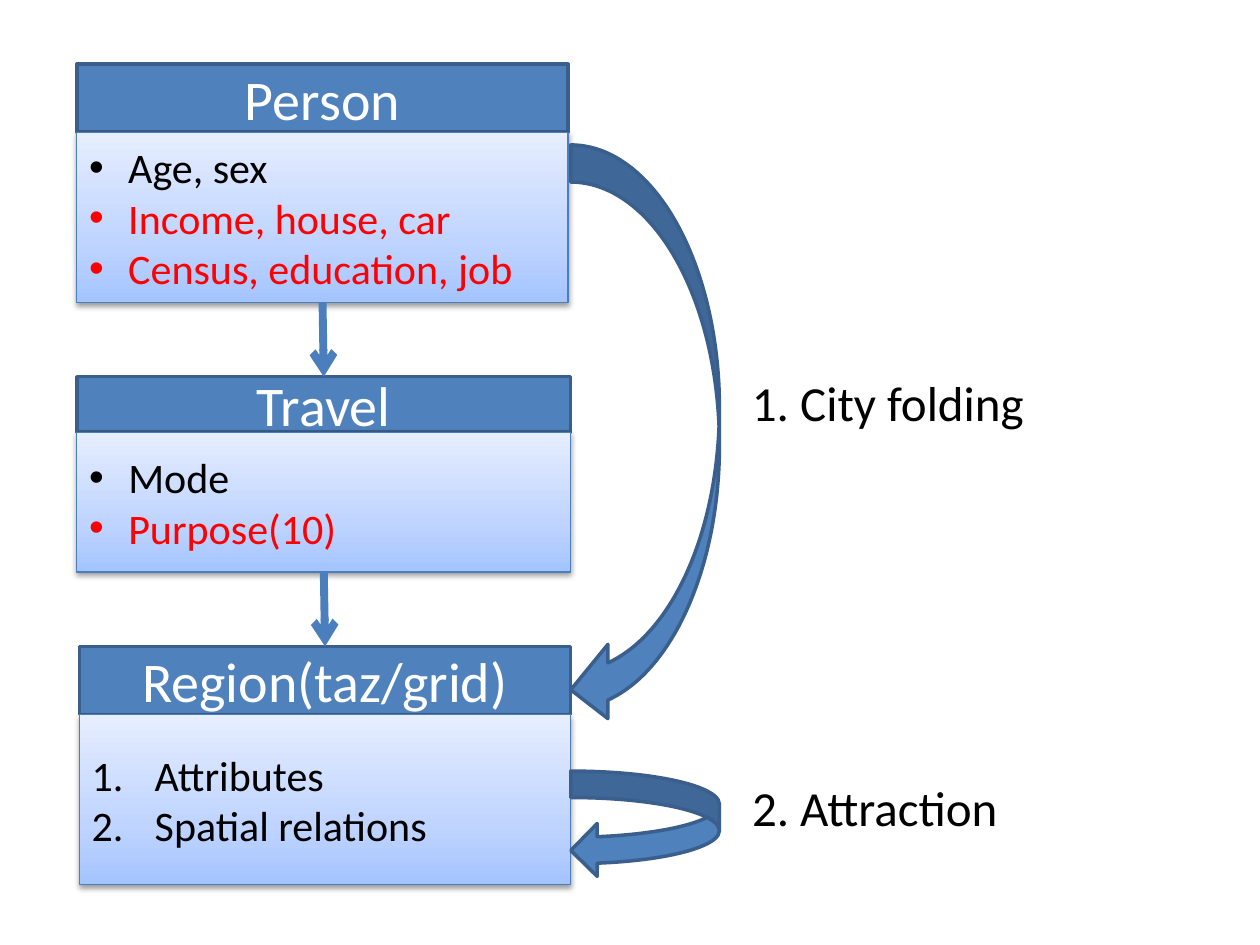
from lxml import etree
from pptx import Presentation
from pptx.dml.color import RGBColor
from pptx.enum.shapes import MSO_CONNECTOR, MSO_SHAPE
from pptx.enum.text import MSO_ANCHOR, PP_ALIGN
from pptx.oxml import parse_xml
from pptx.oxml.ns import qn
from pptx.util import Pt

RECT, CURVED = MSO_SHAPE.RECTANGLE, MSO_SHAPE.CURVED_LEFT_ARROW
STRAIGHT = MSO_CONNECTOR.STRAIGHT
MIDDLE, TOP = MSO_ANCHOR.MIDDLE, MSO_ANCHOR.TOP
LEFT, CENTER = PP_ALIGN.LEFT, PP_ALIGN.CENTER

PX = 9144
NS = 'xmlns:a="http://schemas.openxmlformats.org/drawingml/2006/main"'
FONT = "Calibri"
BLUE, EDGE, THIN = "4F81BD", "3A5F8C", "4B7EBC"
BLACK, RED, WHITE = "000000", "FF0000", "FFFFFF"
STOPS = [(0, "A4C4FF"), (35, "BFD4FF"), (100, "E6EEFF")]


def px(*lengths):
    """Turn px lengths into EMU."""
    return [n * PX for n in lengths]


def rgb(value):
    """Turn a hex string into a colour."""
    return RGBColor.from_string(value)


def add_text(tf, text, size=24, color=BLACK, align=LEFT, first=True, bullet=None, indent=0):
    """Write one paragraph with its format and optional bullet."""
    p = tf.paragraphs[0] if first else tf.add_paragraph()
    p.alignment = align
    r = p.add_run()
    r.text = text
    r.font.name, r.font.size = FONT, Pt(size)
    r.font.color.rgb = rgb(color)
    if bullet:
        pPr = p._p.get_or_add_pPr()
        pPr.set("marL", str(indent * PX))
        pPr.set("indent", str(-indent * PX))
        if bullet == "•":
            etree.SubElement(pPr, qn("a:buFont")).set("typeface", "Arial")
            etree.SubElement(pPr, qn("a:buChar")).set("char", bullet)
        else:
            etree.SubElement(pPr, qn("a:buAutoNum")).set("type", bullet)


def add_block(shapes, kind, box, line=EDGE, width=2):
    """Add a blue outlined shape without shadow."""
    sp = shapes.add_shape(kind, *px(*box))
    sp.shadow.inherit = False
    sp.fill.solid()
    sp.fill.fore_color.rgb = rgb(BLUE)
    sp.line.color.rgb = rgb(line)
    sp.line.width = Pt(width)
    sp.text_frame.word_wrap = True
    sp.text_frame.vertical_anchor = MIDDLE
    return sp


def add_gradient_shadow(sp):
    """Give a shape the pale upward gradient and a soft shadow."""
    spPr = sp._element.spPr
    stops = "".join(
        f'<a:gs pos="{pos * 1000}"><a:srgbClr val="{c}"/></a:gs>' for pos, c in STOPS)
    spPr.replace(spPr.find(qn("a:solidFill")), parse_xml(
        f'<a:gradFill {NS} rotWithShape="1"><a:gsLst>{stops}</a:gsLst>'
        '<a:lin ang="16200000" scaled="0"/></a:gradFill>'))
    spPr.find(qn("a:effectLst")).append(parse_xml(
        f'<a:outerShdw {NS} blurRad="40000" dist="20000" dir="5400000" rotWithShape="0">'
        f'<a:srgbClr val="{BLACK}"><a:alpha val="38000"/></a:srgbClr></a:outerShdw>'))


def add_card(s, box, head, title, items, bullet="•", indent=31):
    """Add a grouped card with a title bar over a list."""
    x, y, w, h = box
    shapes = s.shapes.add_group_shape().shapes
    bar = add_block(shapes, RECT, (x, y, w, head))
    add_text(bar.text_frame, title, size=32, color=WHITE, align=CENTER)
    body = add_block(shapes, RECT, (x, y + head, w, h - head), THIN, 0.75)
    add_gradient_shadow(body)
    for i, (text, color) in enumerate(items):
        add_text(body.text_frame, text, color=color, first=i == 0,
                 bullet=bullet, indent=indent)


def add_link(s, upper, lower):
    """Join the bottom of one card to the top of the next."""
    (x1, y1, w1, h1), (x2, y2, w2, _) = upper, lower
    c = s.shapes.add_connector(
        STRAIGHT, *px(x1 + w1 // 2, y1 + h1, x2 + w2 // 2, y2))
    c.line.color.rgb = rgb(THIN)
    c.line.width = Pt(4.5)
    etree.SubElement(c.line._get_or_add_ln(), qn("a:tailEnd")).set("type", "arrow")
    etree.SubElement(c._element.spPr, qn("a:effectLst"))


def add_loop(s, box, text, label_y, label_w):
    """Add a curved arrow with its label on the right."""
    x, _, w, _ = box
    add_block(s.shapes, CURVED, box)
    tb = s.shapes.add_textbox(*px(x + w + 16, label_y, label_w, 57))
    tb.text_frame.word_wrap = True
    tb.text_frame.vertical_anchor = TOP
    add_text(tb.text_frame, text, size=28)


def main():
    """Build the slide and save it."""
    prs = Presentation()
    prs.slide_width, prs.slide_height = px(1000, 750)
    s = prs.slides.add_slide(prs.slide_layouts[6])
    person, travel, region = (61, 51, 390, 189), (61, 299, 392, 155), (63, 513, 390, 189)
    add_card(s, person, 54, "Person", [
        ("Age, sex", BLACK), ("Income, house, car", RED), ("Census, education, job", RED)])
    add_card(s, travel, 44, "Travel", [("Mode", BLACK), ("Purpose(10)", RED)])
    add_card(s, region, 54, "Region(taz/grid)", [
        ("Attributes", BLACK), ("Spatial relations", BLACK)], "arabicPeriod", 50)
    add_link(s, person, travel)
    add_link(s, travel, region)
    add_loop(s, (453, 115, 118, 462), "1. City folding", 291, 307)
    add_loop(s, (453, 612, 118, 84), "2. Attraction", 612, 378)
    prs.save("out.pptx")


if __name__ == "__main__":
    main()
